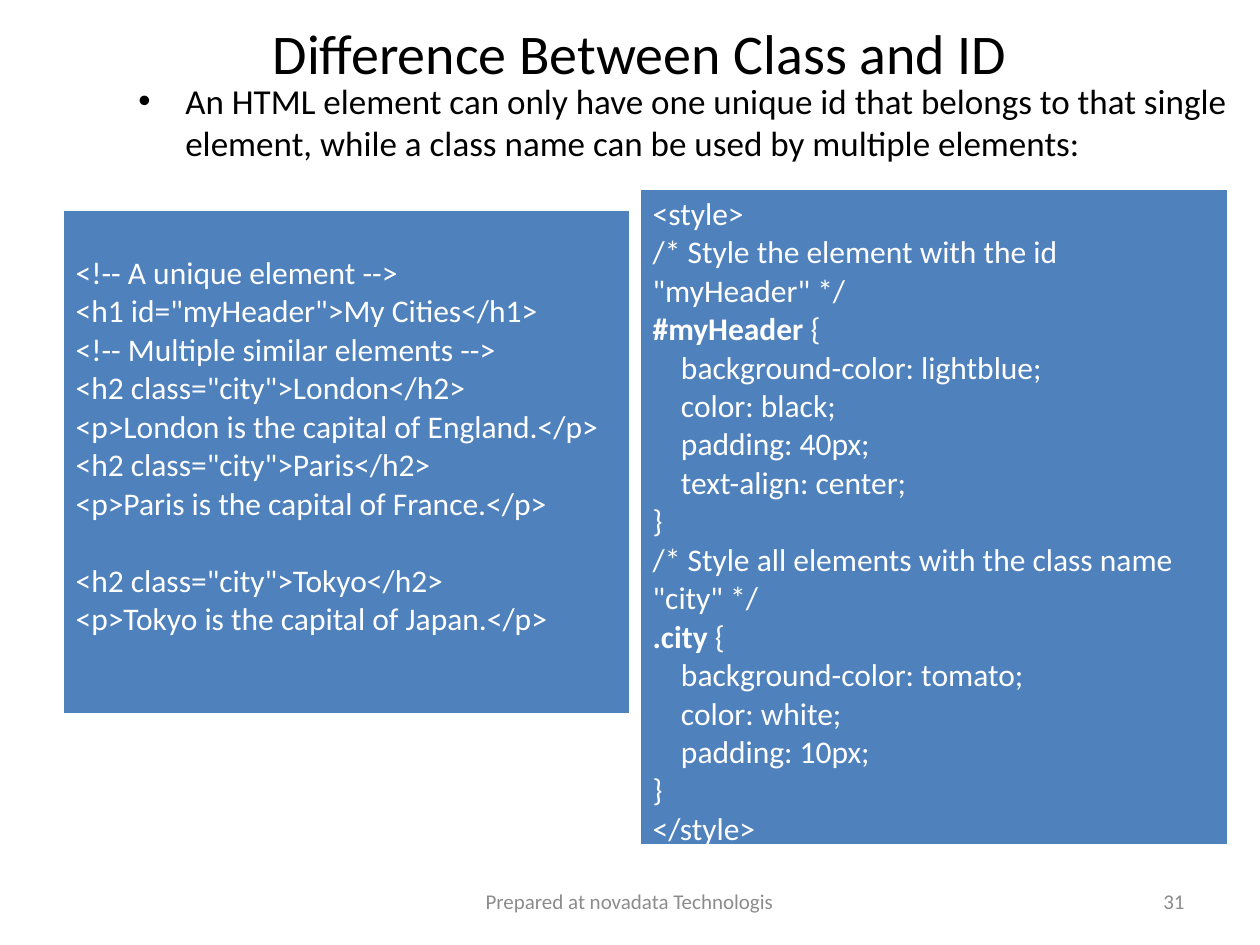
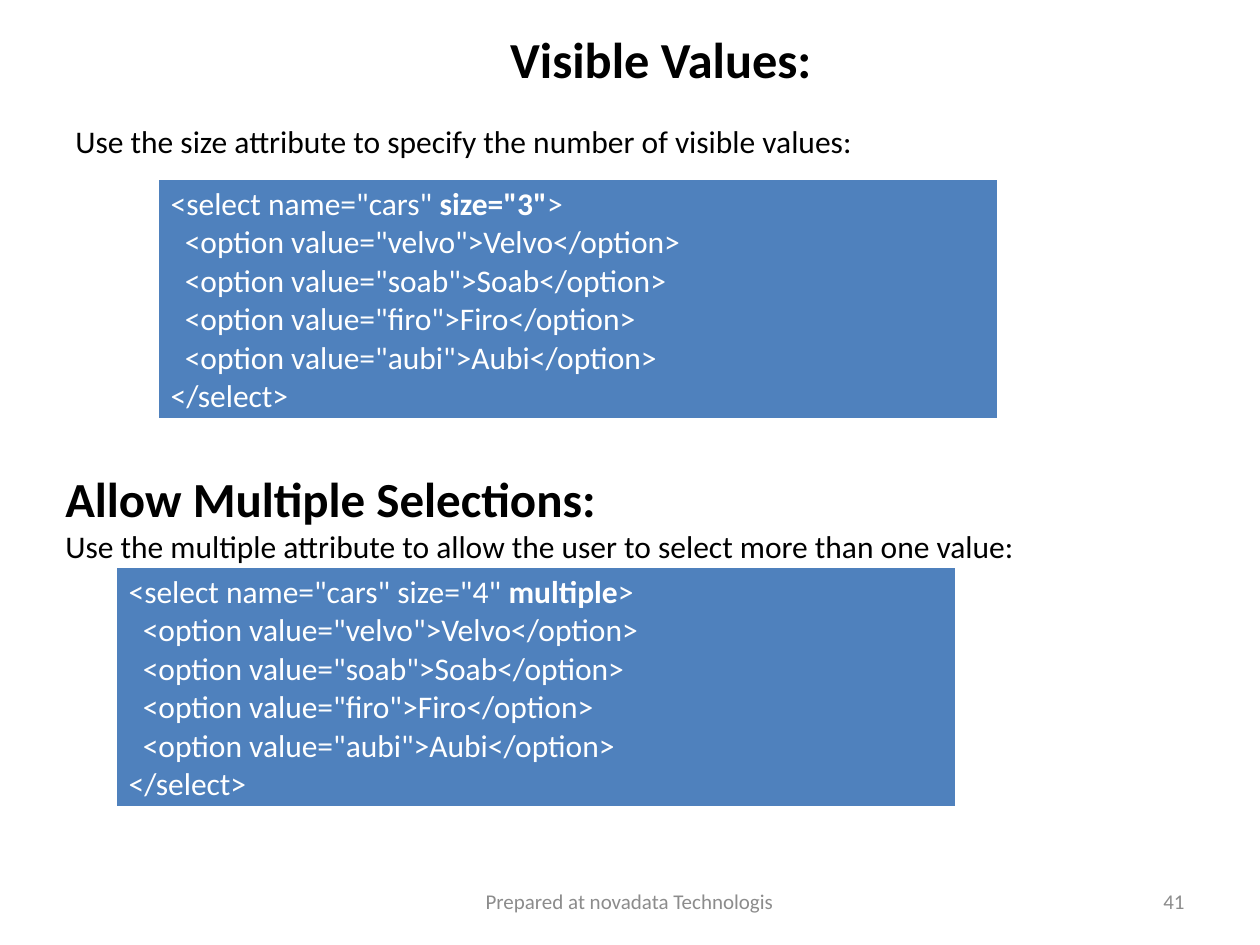
"""Build two lesson slides on HTML classes, ids and select lists."""
from lxml.etree import SubElement
from pptx import Presentation
from pptx.dml.color import RGBColor
from pptx.enum.text import MSO_ANCHOR, PP_ALIGN
from pptx.oxml.ns import qn
from pptx.util import Emu, Pt

FONT = "Calibri"
HUES = {"ink": "000000", "code": "FFFFFF", "panel": "4F81BD", "foot": "8C8C8C"}
SCALE = 914400 / 126
LINE = 22
STEP = 4.05
INSET = 6
FOOT = "Prepared at novadata Technologis"

CITIES = [
    "",
    "<!-- A unique element -->",
    '<h1 id="myHeader">My Cities</h1>',
    "<!-- Multiple similar elements -->",
    '<h2 class="city">London</h2>',
    "<p>London is the capital of England.</p>",
    '<h2 class="city">Paris</h2>',
    "<p>Paris is the capital of France.</p>",
    "",
    '<h2 class="city">Tokyo</h2>',
    "<p>Tokyo is the capital of Japan.</p>",
]
STYLE = [
    "<style>",
    '/* Style the element with the id "myHeader" */',
    "**#myHeader** {",
    "    background-color: lightblue;",
    "    color: black;",
    "    padding: 40px;",
    "    text-align: center;",
    "}",
    '/* Style all elements with the class name "city" */',
    "**.city** {",
    "    background-color: tomato;",
    "    color: white;",
    "    padding: 10px;",
    "}",
    "</style>",
]
CARS = ["Velvo", "Soab", "Firo", "Aubi"]


def select(head):
    rows = [f'  <option value="{car.lower()}">{car}</option>' for car in CARS]
    return [head, *rows, "</select>"]


SLIDES = [
    {
        "title": ("Difference Between Class and ID", (73, 0, 1134, 105), 32, False),
        "texts": [
            ((126, 73, 1134, 624), True, [
                ("An HTML element can only have one unique id that belongs to that "
                 "single element, while a class name can be used by multiple elements:",
                 20, False, True)]),
        ],
        "codes": [((63, 210, 567, 504), CITIES), ((640, 189, 588, 655), STYLE)],
        "page": "31",
    },
    {
        "title": ("Visible Values:", (94, 32, 1134, 52), 28.8, True),
        "texts": [
            ((63, 116, 1134, 728), True, [
                ("Use the size attribute to specify the number of visible values:",
                 18, False, False)]),
            ((53, 462, 986, 149), False, [
                ("Allow Multiple Selections:", 28, True, False),
                ("Use the multiple attribute to allow the user to select "
                 "more than one value:", 18, False, False)]),
        ],
        "codes": [
            ((158, 179, 840, 239), select('<select name="cars" **size="3"**>')),
            ((116, 567, 840, 239), select('<select name="cars" size="4" **multiple**>')),
        ],
        "page": "41",
    },
]


def emu(num):
    return Emu(round(num * SCALE))


def paint(run, size, hue, bold=False):
    run.font.name = FONT
    run.font.size = Pt(size)
    run.font.bold = bold
    run.font.color.rgb = RGBColor.from_string(HUES[hue])


def bullet(para):
    props = para._p.get_or_add_pPr()
    props.set("marL", str(emu(47)))
    props.set("indent", str(-emu(47)))
    SubElement(props, qn("a:buFont")).set("typeface", "Arial")
    SubElement(props, qn("a:buChar")).set("char", "•")


def add_title(slide, text, box, size, bold):
    shape = slide.shapes.title
    shape.left, shape.top, shape.width, shape.height = map(emu, box)
    shape.text_frame.text = text
    shape.text_frame.vertical_anchor = MSO_ANCHOR.MIDDLE
    para = shape.text_frame.paragraphs[0]
    para.alignment = PP_ALIGN.CENTER
    paint(para.runs[0], size, "ink", bold)


def add_text(slide, box, wrap, items):
    frame = slide.shapes.add_textbox(*map(emu, box)).text_frame
    frame.word_wrap = wrap
    frame.text = "\n".join(item[0] for item in items)
    for para, (_, size, bold, dot) in zip(frame.paragraphs, items):
        paint(para.runs[0], size, "ink", bold)
        if dot:
            bullet(para)


def add_code(slide, box, lines):
    table = slide.shapes.add_table(1, 1, *map(emu, box)).table
    cell = table.cell(0, 0)
    cell.fill.solid()
    cell.fill.fore_color.rgb = RGBColor.from_string(HUES["panel"])
    frame = cell.text_frame
    if not lines[0]:
        cell.margin_top = emu(INSET) + Pt(LINE)
        lines = lines[1:]
    para, gap = frame.paragraphs[0], 0
    for spot, line in enumerate(lines):
        if not line:
            gap = LINE
            continue
        if spot:
            para = frame.add_paragraph()
        para.space_before = Pt(gap)
        gap = 0
        text = line.lstrip()
        para._p.get_or_add_pPr().set("marL", str(Pt((len(line) - len(text)) * STEP)))
        for part, piece in enumerate(text.split("**")):
            if piece:
                run = para.add_run()
                run.text = piece
                paint(run, 18, "code", part % 2 == 1)


def add_foot(slide, page):
    for text, box, side in (
        (page, (903, 876, 294, 50), PP_ALIGN.RIGHT),
        (FOOT, (430, 876, 399, 50), PP_ALIGN.CENTER),
    ):
        frame = slide.shapes.add_textbox(*map(emu, box)).text_frame
        frame.word_wrap = True
        frame.vertical_anchor = MSO_ANCHOR.MIDDLE
        frame.text = text
        frame.paragraphs[0].alignment = side
        paint(frame.paragraphs[0].runs[0], 12, "foot")


deck = Presentation()
deck.slide_width, deck.slide_height = emu(1260), emu(945)
for data in SLIDES:
    slide = deck.slides.add_slide(deck.slide_layouts[5])
    add_title(slide, *data["title"])
    for item in data["texts"]:
        add_text(slide, *item)
    for item in data["codes"]:
        add_code(slide, *item)
    add_foot(slide, data["page"])
deck.save("out.pptx")
